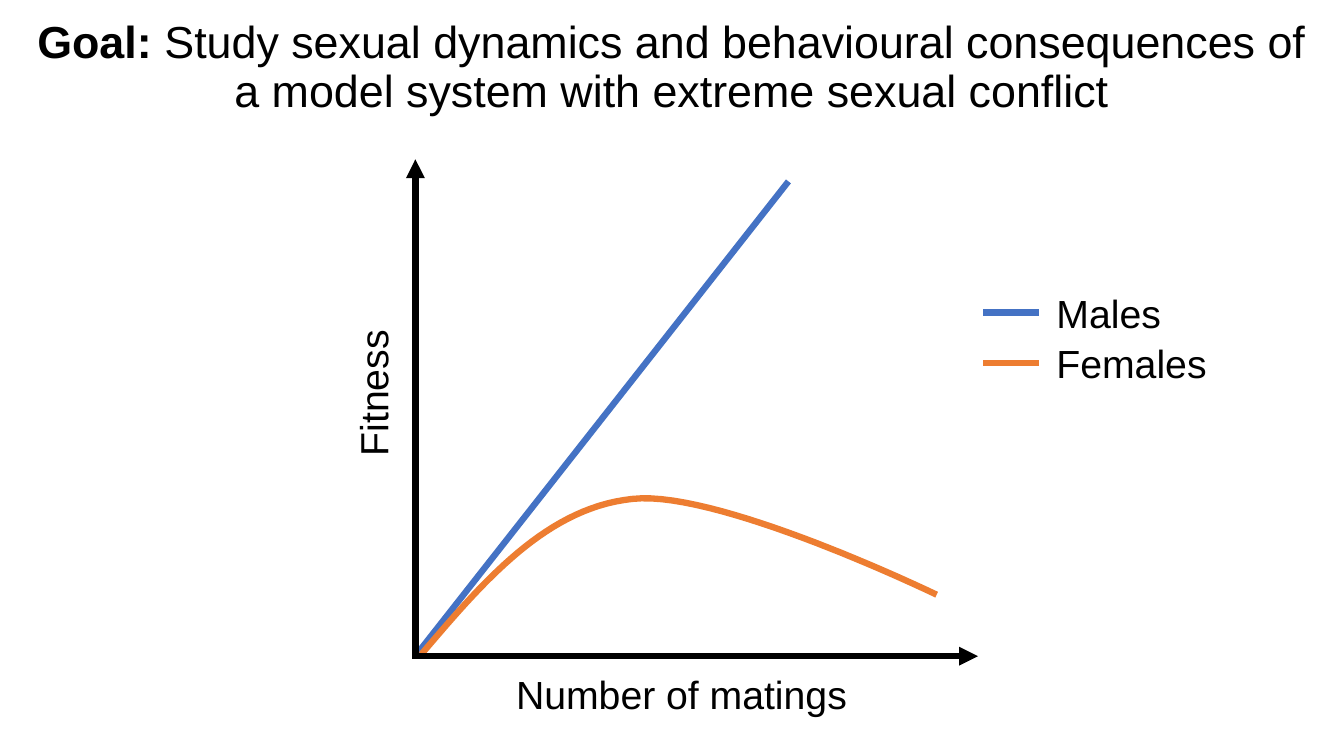
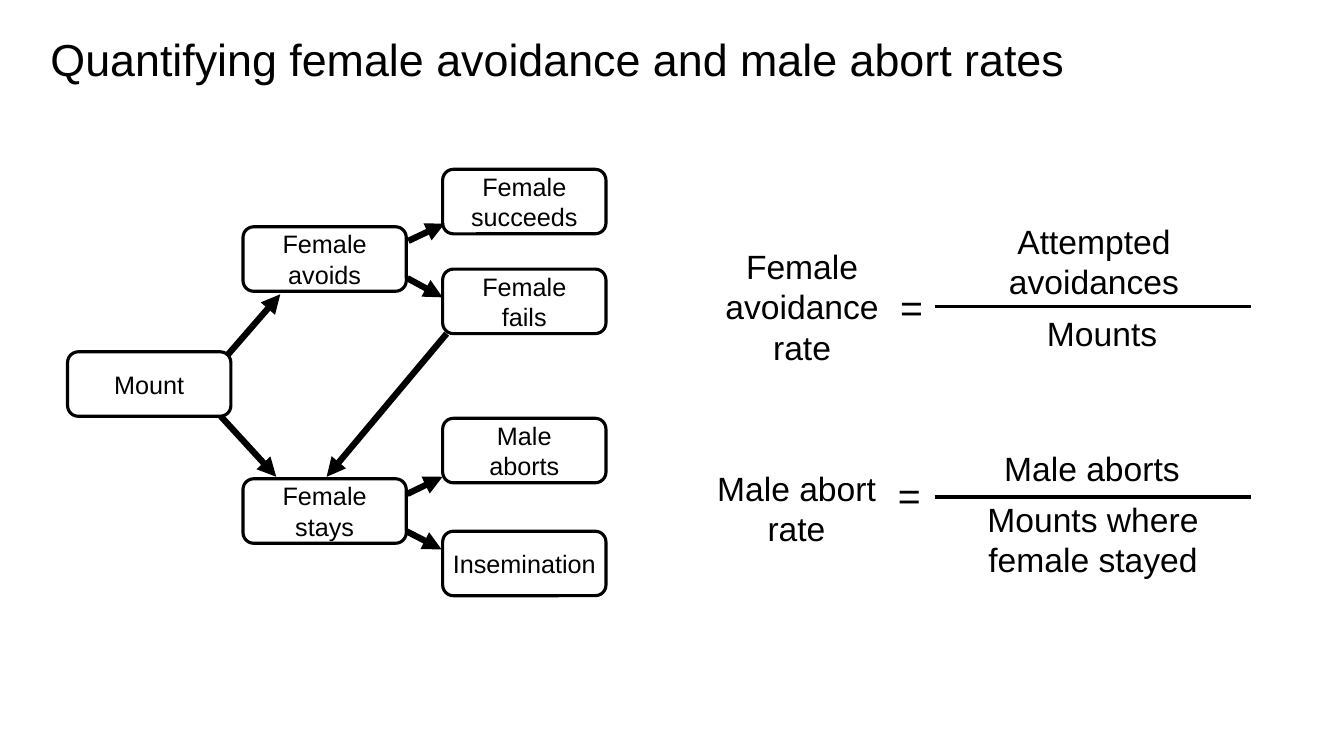
from dataclasses import dataclass

from lxml import etree
from pptx import Presentation
from pptx.dml.color import RGBColor
from pptx.enum.shapes import MSO_CONNECTOR, MSO_SHAPE
from pptx.enum.text import MSO_ANCHOR, MSO_AUTO_SIZE, PP_ALIGN
from pptx.oxml.ns import qn
from pptx.util import Pt

PX = 9144
STRAIGHT = MSO_CONNECTOR.STRAIGHT
ROUNDED = MSO_SHAPE.ROUNDED_RECTANGLE
LEFT, CENTER = PP_ALIGN.LEFT, PP_ALIGN.CENTER
TOP, MIDDLE = MSO_ANCHOR.TOP, MSO_ANCHOR.MIDDLE
FIXED = MSO_AUTO_SIZE.NONE
TITLE_ONLY = 5


@dataclass(frozen=True)
class Theme:
    font: str = "Arial"
    ink: RGBColor = RGBColor(0, 0, 0)
    paper: RGBColor = RGBColor(255, 255, 255)
    male: RGBColor = RGBColor(0x44, 0x72, 0xC4)
    female: RGBColor = RGBColor(0xED, 0x7D, 0x31)
    title: int = 32
    label: int = 28
    formula: int = 24
    node: int = 18
    heavy: float = 4.5
    thin: float = 2.25


THEME = Theme()

GOAL = {
    "box": (13, 15, 1307, 114),
    "runs": [
        ("Goal: ", True),
        ("Study sexual dynamics and behavioural consequences of "
         "a model system with extreme sexual conflict", False),
    ],
    "align": CENTER,
    "spacing": 0.9,
}
AXES = [((412, 652), (412, 158)), ((409, 651), (970, 651))]
AXIS_LABELS = [
    ("Number of matings", (502, 660, 374, 57), 0),
    ("Fitness", (297, 361, 146, 57), 270),
]
MALE_LINE = ((415, 647), (782, 180))
FEMALE_CURVE = [
    ((418, 649), (480, 576), (542, 504), (627, 495)),
    ((627, 495), (712, 485), (929, 590), (929, 590)),
]
CURVE_STEPS = 30
LEGEND = [("Males", THEME.male), ("Females", THEME.female)]
LEGEND_LEFT, LEGEND_TOP, LEGEND_PITCH = 975, 282, 50

QUANTIFYING = {
    "box": (40, 26, 1253, 64),
    "runs": [("Quantifying female avoidance and male abort rates", False)],
    "align": LEFT,
    "spacing": 1.0,
}
NODE_WIDTH, NODE_HEIGHT, NODE_MARGIN = 162, 64, 22
NODE_COLUMNS = [
    (67, [("Mount", 349)]),
    (241, [("Female avoids", 225), ("Female stays", 475)]),
    (439, [("Female succeeds", 168), ("Female fails", 267),
           ("Male aborts", 415), ("Insemination", 527)]),
]
ARROWS = [
    ((225, 353), (278, 292)),
    ((219, 413), (274, 473)),
    ((443, 331), (324, 473)),
    ((405, 239), (441, 222)),
    ((404, 276), (439, 295)),
    ((404, 490), (439, 473)),
    ((403, 527), (438, 545)),
]
BAR_LEFT, BAR_RIGHT = 927, 1241
FORMULAS = [
    (304, [
        ("Female avoidance rate", (687, 239, 217, 131), THEME.formula),
        ("=", (804, 276, 200, 57), THEME.label),
        ("Attempted avoidances", (944, 214, 282, 91), THEME.formula),
        ("Mounts", (952, 306, 282, 50), THEME.formula),
    ]),
    (493, [
        ("Male abort rate", (690, 459, 200, 91), THEME.formula),
        ("=", (802, 463, 200, 57), THEME.label),
        ("Male aborts", (983, 439, 200, 50), THEME.formula),
        ("Mounts where female stayed", (943, 490, 282, 91), THEME.formula),
    ]),
]


def emu(lengths):
    return [round(length * PX) for length in lengths]


def apply(target, values):
    for name, value in values.items():
        setattr(target, name, value)


def add_run(paragraph, text, size, bold=False):
    run = paragraph.add_run()
    run.text = text
    apply(run.font, {"name": THEME.font, "size": Pt(size), "bold": bold})
    run.font.color.rgb = THEME.ink


def add_title(slide, title):
    shape = slide.shapes.title
    apply(shape, dict(zip(("left", "top", "width", "height"), emu(title["box"]))))
    apply(shape.text_frame, {"word_wrap": True, "auto_size": FIXED, "vertical_anchor": TOP})
    paragraph = shape.text_frame.paragraphs[0]
    apply(paragraph, {"alignment": title["align"], "line_spacing": title["spacing"]})
    for text, bold in title["runs"]:
        add_run(paragraph, text, THEME.title, bold)


def add_text(slide, text, box, size, align=LEFT, rotation=0):
    shape = slide.shapes.add_textbox(*emu(box))
    shape.rotation = rotation
    shape.text_frame.word_wrap = True
    paragraph = shape.text_frame.paragraphs[0]
    paragraph.alignment = align
    add_run(paragraph, text, size)


def style_line(line, color, width):
    line.color.rgb = color
    line.width = Pt(width)


def add_line(slide, start, end, color=THEME.ink, width=THEME.heavy, arrow=False):
    connector = slide.shapes.add_connector(STRAIGHT, *emu(start + end))
    style_line(connector.line, color, width)
    properties = connector.element.spPr
    if arrow:
        etree.SubElement(properties.find(qn("a:ln")), qn("a:tailEnd"), type="triangle")
    etree.SubElement(properties, qn("a:effectLst"))


def bezier_point(controls, t):
    weights = ((1 - t) ** 3, 3 * t * (1 - t) ** 2, 3 * t ** 2 * (1 - t), t ** 3)
    return emu(sum(w * value for w, value in zip(weights, axis)) for axis in zip(*controls))


def add_curve(slide, segments, color):
    points = [bezier_point(controls, step / CURVE_STEPS)
              for controls in segments for step in range(1, CURVE_STEPS + 1)]
    builder = slide.shapes.build_freeform(*emu(segments[0][0]))
    builder.add_line_segments(points, close=False)
    curve = builder.convert_to_shape()
    curve.shadow.inherit = False
    curve.fill.background()
    style_line(curve.line, color, THEME.heavy)


def add_node(slide, text, left, top):
    node = slide.shapes.add_shape(ROUNDED, *emu((left, top, NODE_WIDTH, NODE_HEIGHT)))
    node.shadow.inherit = False
    node.fill.solid()
    node.fill.fore_color.rgb = THEME.paper
    style_line(node.line, THEME.ink, THEME.thin)
    apply(node.text_frame, {
        "word_wrap": " " in text, "vertical_anchor": MIDDLE,
        "margin_left": NODE_MARGIN * PX, "margin_right": NODE_MARGIN * PX,
        "margin_top": 0, "margin_bottom": 0,
    })
    paragraph = node.text_frame.paragraphs[0]
    paragraph.alignment = CENTER
    add_run(paragraph, text, THEME.node)


def build_goal(slide):
    add_title(slide, GOAL)
    for text, box, rotation in AXIS_LABELS:
        add_text(slide, text, box, THEME.label, rotation=rotation)
    for row, (text, color) in enumerate(LEGEND):
        top = LEGEND_TOP + row * LEGEND_PITCH
        add_text(slide, text, (LEGEND_LEFT + 63, top, 250, 57), THEME.label)
        add_line(slide, (LEGEND_LEFT, top + 28), (LEGEND_LEFT + 55, top + 28), color)
    add_line(slide, *MALE_LINE, THEME.male)
    add_curve(slide, FEMALE_CURVE, THEME.female)
    for start, end in AXES:
        add_line(slide, start, end, arrow=True)


def build_rates(slide):
    add_title(slide, QUANTIFYING)
    for left, nodes in NODE_COLUMNS:
        for text, top in nodes:
            add_node(slide, text, left, top)
    for start, end in ARROWS:
        add_line(slide, start, end, arrow=True)
    for bar_top, parts in FORMULAS:
        for text, box, size in parts:
            add_text(slide, text, box, size, CENTER)
        add_line(slide, (BAR_LEFT, bar_top), (BAR_RIGHT, bar_top), width=THEME.thin)


def main():
    presentation = Presentation()
    presentation.slide_width, presentation.slide_height = emu((1333, 750))
    for build in (build_goal, build_rates):
        build(presentation.slides.add_slide(presentation.slide_layouts[TITLE_ONLY]))
    presentation.save("out.pptx")


if __name__ == "__main__":
    main()
